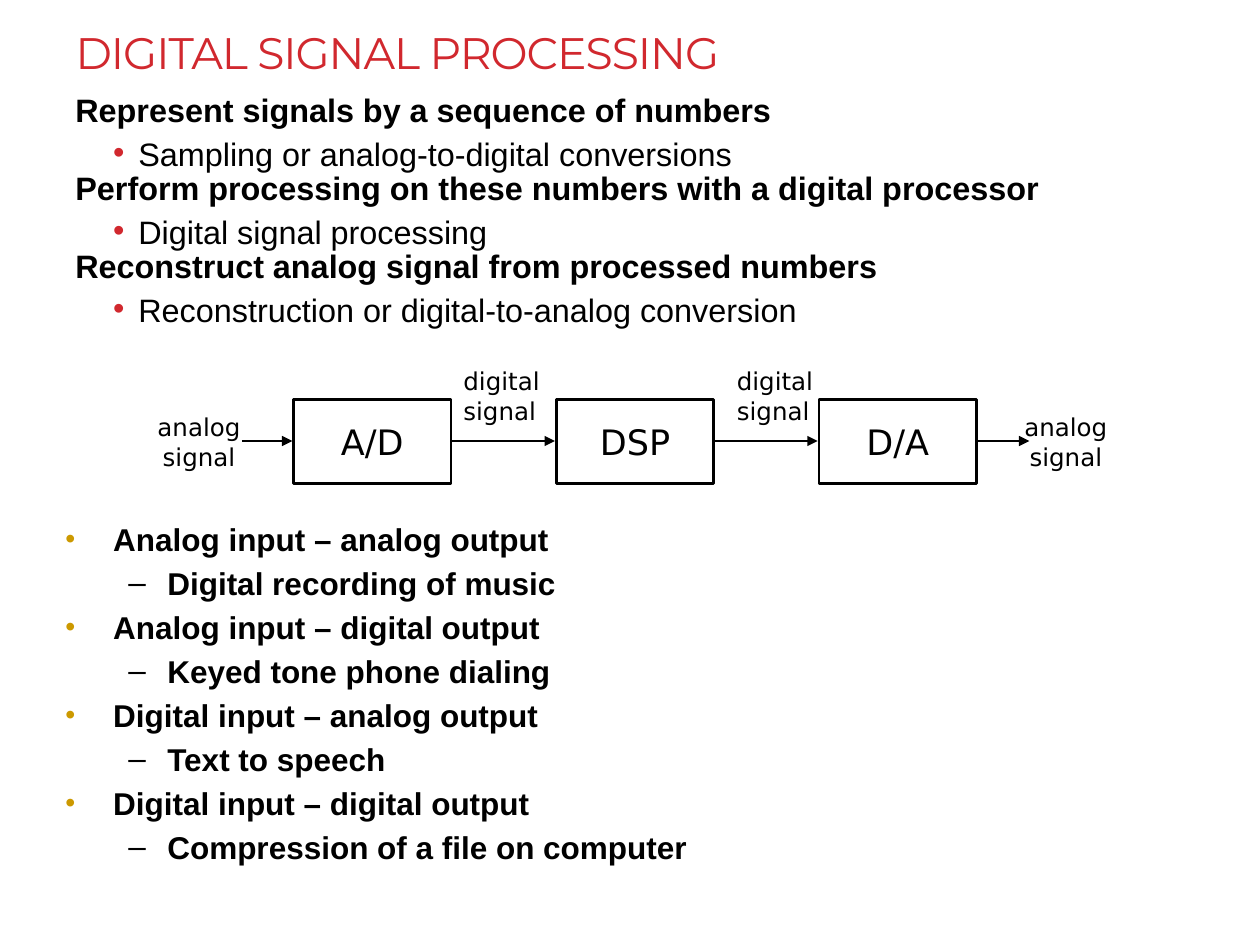
from dataclasses import dataclass

from lxml.etree import SubElement
from pptx import Presentation
from pptx.dml.color import RGBColor
from pptx.enum.shapes import MSO_CONNECTOR as Connector, MSO_SHAPE as Shape
from pptx.enum.text import MSO_ANCHOR as Anchor, PP_ALIGN as Align
from pptx.oxml.ns import qn
from pptx.util import Inches, Pt


@dataclass(frozen=True)
class Theme:
    """Colours, fonts and type sizes of the slide."""
    ink: str = "000000"
    red: str = "D1282E"
    gold: str = "CC9900"
    heading_font: str = "Montserrat"
    body_font: str = "Arial"
    diagram_font: str = "DejaVu Sans"
    title_size: float = 25.2
    step_size: float = 18.5
    example_size: float = 18
    block_size: float = 20
    label_size: float = 14
    line_width: float = 1.5
    step_gap: float = 3.7
    example_gap: float = 3.5


THEME = Theme()

STEPS = [
    ("Represent signals by a sequence of numbers",
     "Sampling or analog-to-digital conversions"),
    ("Perform processing on these numbers with a digital processor",
     "Digital signal processing"),
    ("Reconstruct analog signal from processed numbers",
     "Reconstruction or digital-to-analog conversion"),
]
EXAMPLES = [
    ("Analog input – analog output", "Digital recording of music"),
    ("Analog input – digital output", "Keyed tone phone dialing"),
    ("Digital input – analog output", "Text to speech"),
    ("Digital input – digital output", "Compression of a file on computer"),
]
BLOCKS = ["A/D", "DSP", "D/A"]
BLOCK_LEFT, BLOCK_TOP, BLOCK_WIDTH, BLOCK_HEIGHT = 2.33, 3.17, 1.25, 0.67
BLOCK_PITCH = 2.085
SIGNAL_Y = 3.5
ARROW_GAP = 0.01


def write(para, text, *, size, font, color=THEME.ink, bold=False,
          align=Align.LEFT, line=None, before=None, after=None, tracking=None):
    """Write one formatted span into a paragraph."""
    para.alignment = align
    if line is not None:
        para.line_spacing = line
    if before is not None:
        para.space_before = Pt(before)
    if after is not None:
        para.space_after = Pt(after)
    span = para.add_run()
    span.text = text
    span.font.size = Pt(size)
    span.font.name = font
    span.font.bold = bold
    span.font.color.rgb = RGBColor.from_string(color)
    if tracking is not None:
        span.font._element.set("spc", str(round(tracking * 100)))


def set_bullet(para, mark, *, margin, hang, color=THEME.ink, percent=100):
    """Give a paragraph a hanging bullet."""
    props = para._p.get_or_add_pPr()
    props.set("marL", str(Inches(margin)))
    props.set("indent", str(-Inches(hang)))
    holder = SubElement(props, qn("a:buClr"))
    SubElement(holder, qn("a:srgbClr")).set("val", color)
    SubElement(props, qn("a:buSzPct")).set("val", str(percent * 1000))
    SubElement(props, qn("a:buFont")).set("typeface", THEME.body_font)
    SubElement(props, qn("a:buChar")).set("char", mark)


def add_title(page, text):
    """Place and format the title placeholder."""
    title = page.shapes.title
    title.left, title.top = Inches(0.5), Inches(0.3)
    title.width, title.height = Inches(9), Inches(0.37)
    frame = title.text_frame
    frame.vertical_anchor = Anchor.BOTTOM
    frame.margin_bottom = Inches(0.05)
    write(frame.paragraphs[0], text, size=THEME.title_size,
          font=THEME.heading_font, color=THEME.red, tracking=-0.6)


def add_text_frame(page, left, top, width, height):
    """Add a wrapping text box and return its frame."""
    box = page.shapes.add_textbox(
        Inches(left), Inches(top), Inches(width), Inches(height))
    box.text_frame.word_wrap = True
    return box.text_frame


def add_paragraph(frame):
    """Return the unused first paragraph or a new one."""
    first = frame.paragraphs[0]
    return frame.add_paragraph() if first.runs else first


def add_steps(page):
    """Add the processing steps with their bulleted details."""
    frame = add_text_frame(page, 0.5, 0.75, 9, 2.08)
    style = dict(size=THEME.step_size, font=THEME.body_font,
                 line=0.7, before=THEME.step_gap)
    for step, detail in STEPS:
        write(add_paragraph(frame), step, bold=True, after=6, **style)
        para = add_paragraph(frame)
        para.level = 1
        write(para, detail, **style)
        set_bullet(para, "•", margin=0.5, hang=0.2, color=THEME.red)


def add_examples(page):
    """Add the input and output combinations with an example each."""
    frame = add_text_frame(page, 0.42, 4.08, 9.42, 2.83)
    style = dict(size=THEME.example_size, font=THEME.body_font, bold=True,
                 before=THEME.example_gap)
    for combination, example in EXAMPLES:
        para = add_paragraph(frame)
        write(para, combination, **style)
        set_bullet(para, "•", margin=0.38, hang=0.38,
                   color=THEME.gold, percent=90)
        para = add_paragraph(frame)
        para.level = 1
        write(para, example, **style)
        set_bullet(para, "–", margin=0.81, hang=0.31)


def add_block(page, left, text):
    """Add one outlined processing block."""
    block = page.shapes.add_shape(
        Shape.RECTANGLE, Inches(left), Inches(BLOCK_TOP),
        Inches(BLOCK_WIDTH), Inches(BLOCK_HEIGHT))
    block.shadow.inherit = False
    block.fill.background()
    block.line.color.rgb = RGBColor.from_string(THEME.ink)
    block.line.width = Pt(THEME.line_width)
    frame = block.text_frame
    frame.word_wrap = False
    frame.vertical_anchor = Anchor.MIDDLE
    write(frame.paragraphs[0], text, size=THEME.block_size,
          font=THEME.diagram_font, align=Align.CENTER)


def add_arrow(page, start, end):
    """Add a horizontal signal arrow."""
    arrow = page.shapes.add_connector(
        Connector.STRAIGHT, Inches(start), Inches(SIGNAL_Y),
        Inches(end), Inches(SIGNAL_Y))
    arrow.line.color.rgb = RGBColor.from_string(THEME.ink)
    arrow.line.width = Pt(THEME.line_width)
    SubElement(arrow.line._get_or_add_ln(), qn("a:tailEnd")).set("type", "triangle")
    SubElement(arrow._element.spPr, qn("a:effectLst"))


def add_analog_label(page, left):
    """Add a centred two-line label at an end of the chain."""
    frame = add_text_frame(page, left, BLOCK_TOP, 0.7, BLOCK_HEIGHT)
    frame.margin_left = frame.margin_right = 0
    frame.vertical_anchor = Anchor.MIDDLE
    for word in ("analog", "signal"):
        write(add_paragraph(frame), word, size=THEME.label_size,
              font=THEME.diagram_font, align=Align.CENTER)


def add_digital_label(page, left):
    """Add a label above an arrow between two blocks."""
    frame = add_text_frame(page, left, 2.86, 0.83, 0.57)
    write(frame.paragraphs[0], "digital signal",
          size=THEME.label_size, font=THEME.diagram_font)


def add_signal_chain(page):
    """Add the block diagram from analog input to analog output."""
    lefts = [BLOCK_LEFT + index * BLOCK_PITCH for index in range(len(BLOCKS))]
    for left, text in zip(lefts, BLOCKS):
        add_block(page, left, text)
    starts = [1.92] + [left + BLOCK_WIDTH + ARROW_GAP for left in lefts]
    ends = [left - ARROW_GAP for left in lefts] + [8.17]
    for start, end in zip(starts, ends):
        add_arrow(page, start, end)
    for left in (3.58, 5.75):
        add_digital_label(page, left)
    for left in (1.23, 8.11):
        add_analog_label(page, left)


def main():
    """Build and save the slide."""
    deck = Presentation()
    deck.slide_width, deck.slide_height = Inches(10), Inches(7.5)
    page = deck.slides.add_slide(deck.slide_layouts.get_by_name("Title Only"))
    add_title(page, "DIGITAL SIGNAL PROCESSING")
    add_steps(page)
    add_signal_chain(page)
    add_examples(page)
    deck.save("out.pptx")


if __name__ == "__main__":
    main()
